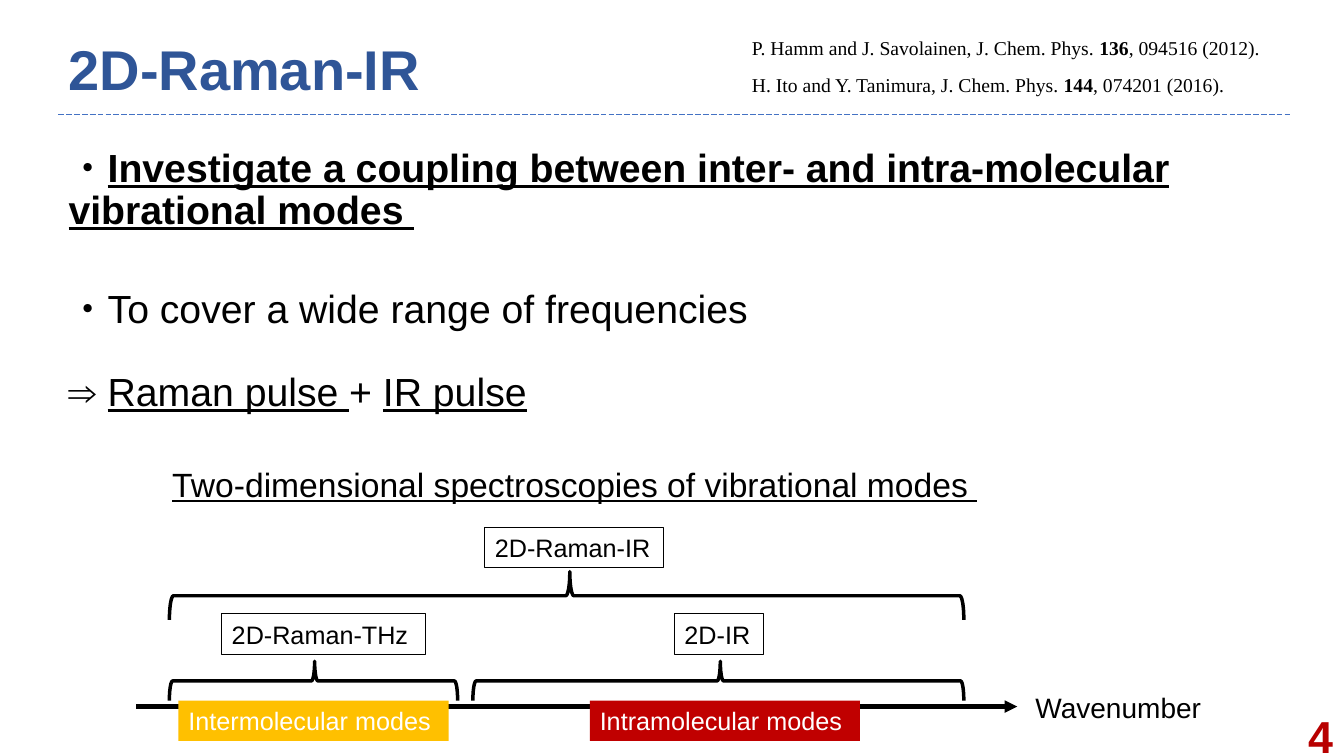
from dataclasses import dataclass

from lxml import etree
from pptx import Presentation
from pptx import util as u
from pptx.dml import color
from pptx.enum import dml, shapes, text
from pptx.oxml import ns

COLORS = {
    "black": "000000", "white": "FFFFFF", "title": "2F5597", "rule": "4472C4",
    "number": "B80000", "inter": "FFC000", "intra": "C00000",
}


@dataclass
class Piece:
    text: str
    bold: bool = False
    underline: bool = False


@dataclass
class Note:
    left: float
    top: float
    width: float
    height: float
    size: int
    pieces: list[Piece]
    font: str = "Arial"
    color: str = "black"
    align: text.PP_ALIGN = text.PP_ALIGN.LEFT
    anchor: text.MSO_ANCHOR = text.MSO_ANCHOR.TOP


@dataclass
class Label:
    left: float
    top: float
    width: float
    caption: str
    fill: str | None = None


@dataclass
class Brace:
    left: float
    top: float
    width: float
    height: float


@dataclass
class Point:
    gap: int
    pieces: list[Piece]


def rgb(name: str) -> color.RGBColor:
    return color.RGBColor.from_string(COLORS[name])


def add_pieces(paragraph, pieces: list[Piece], size: int, ink: str = "black", font: str = "Arial") -> None:
    for piece in pieces:
        run = paragraph.add_run()
        run.text = piece.text
        run.font.name = font
        run.font.size = u.Pt(size)
        run.font.color.rgb = rgb(ink)
        run.font.bold = piece.bold
        run.font.underline = piece.underline


def place(shape, left: float, top: float, width: float, height: float) -> None:
    shape.left, shape.top = u.Inches(left), u.Inches(top)
    shape.width, shape.height = u.Inches(width), u.Inches(height)


def add_note(parent, note: Note) -> None:
    box = parent.add_textbox(*map(u.Inches, (note.left, note.top, note.width, note.height)))
    frame = box.text_frame
    frame.word_wrap = True
    frame.vertical_anchor = note.anchor
    frame.paragraphs[0].alignment = note.align
    add_pieces(frame.paragraphs[0], note.pieces, note.size, note.color, note.font)


def add_line(parent, left: float, right: float, y: float, ink: str, weight: float):
    line = parent.add_connector(
        shapes.MSO_CONNECTOR.STRAIGHT, *map(u.Inches, (left, y, right, y)))
    line.line.color.rgb = rgb(ink)
    line.line.width = u.Pt(weight)
    etree.SubElement(line._element.spPr, ns.qn("a:effectLst"))
    return line


def add_brace(parent, brace: Brace) -> None:
    left = brace.left + (brace.width - brace.height) / 2
    top = brace.top + (brace.height - brace.width) / 2
    shape = parent.add_shape(
        shapes.MSO_SHAPE.RIGHT_BRACE,
        *map(u.Inches, (left, top, brace.height, brace.width)))
    shape.rotation = 270
    shape.adjustments[0] = 0.083
    shape.adjustments[1] = 0.504
    shape.shadow.inherit = False
    shape.fill.background()
    shape.line.color.rgb = rgb("black")
    shape.line.width = u.Pt(2.5)


def add_label(parent, label: Label) -> None:
    shape = parent.add_shape(
        shapes.MSO_SHAPE.RECTANGLE,
        *map(u.Inches, (label.left, label.top, label.width, 0.4)))
    shape.shadow.inherit = False
    if label.fill:
        shape.fill.solid()
        shape.fill.fore_color.rgb = rgb(label.fill)
        shape.line.fill.background()
    else:
        shape.fill.background()
        shape.line.color.rgb = rgb("black")
        shape.line.width = u.Pt(0.75)
    frame = shape.text_frame
    frame.word_wrap = True
    frame.vertical_anchor = text.MSO_ANCHOR.TOP
    frame.paragraphs[0].alignment = text.PP_ALIGN.LEFT
    add_pieces(frame.paragraphs[0], [Piece(label.caption)], 18, "white" if label.fill else "black")


def add_heading(title) -> None:
    place(title, 0.58, 0.31, 12.21, 0.82)
    frame = title.text_frame
    frame.auto_size = text.MSO_AUTO_SIZE.NONE
    frame.vertical_anchor = text.MSO_ANCHOR.MIDDLE
    heading = frame.paragraphs[0]
    heading.alignment = text.PP_ALIGN.LEFT
    heading.line_spacing = 0.9
    add_pieces(heading, [Piece("2D-Raman-IR", bold=True)], 40, "title")


def add_points(body, points: list[Point]) -> None:
    place(body, 0.58, 1.42, 11.84, 2.74)
    frame = body.text_frame
    frame.auto_size = text.MSO_AUTO_SIZE.NONE
    for index, point in enumerate(points):
        paragraph = frame.add_paragraph() if index else frame.paragraphs[0]
        properties = paragraph._p.get_or_add_pPr()
        properties.set("marL", "0")
        properties.set("indent", "0")
        etree.SubElement(properties, ns.qn("a:buNone"))
        paragraph.line_spacing = u.Pt(30)
        paragraph.space_before = u.Pt(point.gap)
        add_pieces(paragraph, point.pieces, 28)


POINTS = [
    Point(0, [Piece("・"), Piece(
        "Investigate a coupling between inter- and intra-molecular vibrational modes ", True, True)]),
    Point(41, [Piece("・To cover a wide range of frequencies")]),
    Point(29, [Piece("⇒ "), Piece("Raman pulse ", underline=True),
               Piece("+ "), Piece("IR pulse", underline=True)]),
]
NOTES = [
    Note(7.36, 0.31, 5.4, 0.34, 14, [
        Piece("P. Hamm and J. Savolainen, J. Chem. Phys. "), Piece("136", True),
        Piece(", 094516 (2012).")], "Times New Roman"),
    Note(7.36, 0.67, 5.4, 0.34, 14, [
        Piece("H. Ito and Y. Tanimura, J. Chem. Phys. "), Piece("144", True),
        Piece(", 074201 (2016).")], "Times New Roman"),
    Note(1.61, 4.55, 8.22, 0.5, 24, [
        Piece("Two-dimensional spectroscopies of vibrational modes ", underline=True)]),
    Note(12.51, 7.1, 0.81, 0.4, 32, [Piece("4", True)], color="number",
         align=text.PP_ALIGN.RIGHT, anchor=text.MSO_ANCHOR.MIDDLE),
]
BRACES = [
    Brace(1.68, 5.67, 7.88, 0.48),
    Brace(1.68, 6.56, 2.86, 0.39),
    Brace(4.69, 6.56, 4.87, 0.39),
]
LABELS = [
    Label(4.81, 5.23, 1.77, "2D-Raman-IR"),
    Label(2.2, 6.09, 2.02, "2D-Raman-THz"),
    Label(6.69, 6.09, 0.88, "2D-IR"),
    Label(1.77, 6.95, 2.68, "Intermolecular modes", "inter"),
    Label(5.85, 6.95, 2.68, "Intramolecular modes", "intra"),
]


def main() -> None:
    deck = Presentation()
    deck.slide_width, deck.slide_height = u.Inches(13.33), u.Inches(7.5)
    slide = deck.slides.add_slide(deck.slide_layouts[1])
    rule = add_line(slide.shapes, 0.58, 12.79, 1.13, "rule", 0.5)
    rule.line.dash_style = dml.MSO_LINE.LONG_DASH
    add_heading(slide.shapes.title)
    add_points(slide.placeholders[1], POINTS)
    for note in NOTES:
        add_note(slide.shapes, note)

    spectrum = slide.shapes.add_group_shape().shapes
    axis = add_line(spectrum, 1.35, 10.09, 7.01, "black", 3)
    etree.SubElement(axis.line._get_or_add_ln(), ns.qn("a:tailEnd"), type="triangle")
    add_note(spectrum, Note(10.17, 6.8, 1.9, 0.44, 20, [Piece("Wavenumber")]))
    for brace in BRACES:
        add_brace(spectrum, brace)
    for label in LABELS:
        add_label(spectrum, label)
    deck.save("out.pptx")


if __name__ == "__main__":
    main()
